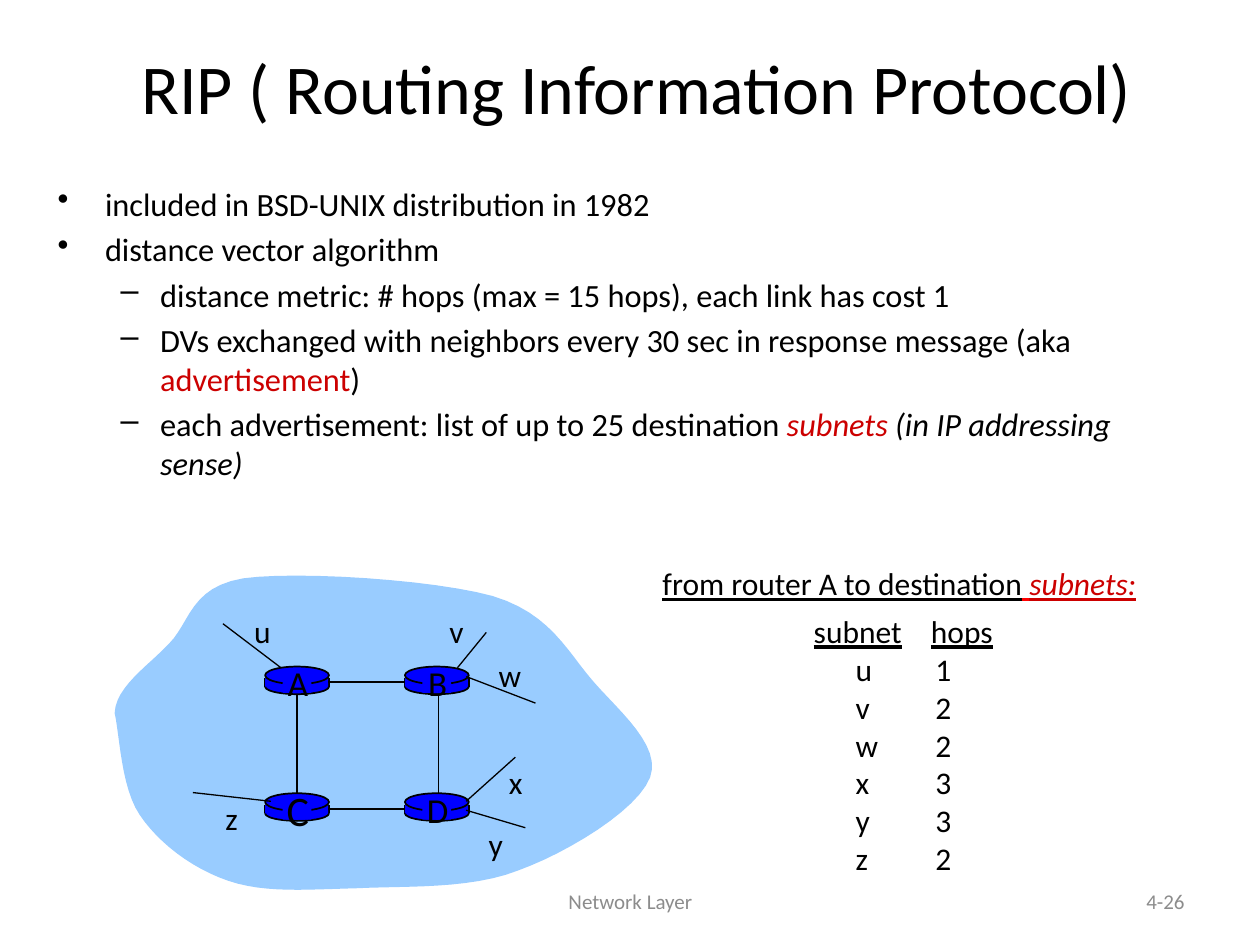
from typing import NamedTuple
from lxml.etree import SubElement
from pptx import Presentation
from pptx.dml.color import RGBColor
from pptx.enum.shapes import MSO_CONNECTOR as Link, MSO_SHAPE as Preset
from pptx.enum.text import MSO_ANCHOR as Anchor, PP_ALIGN as Align
from pptx.oxml.ns import qn
from pptx.util import Pt

COLORS = {"ink": "000000", "accent": "CC0000", "red": "FF0000", "muted": "8C8C8C",
          "cloud": "99CCFF", "router": "0000FF"}
FONT = "Calibri"


class Run(NamedTuple):
    text: str
    color: str = "ink"
    italic: bool = False
    underline: bool = False


class Bullet(NamedTuple):
    level: int
    runs: list[Run]


class Router(NamedTuple):
    name: str
    left: float
    top: float
    size: int = 20


class Subnet(NamedTuple):
    name: str
    hops: int
    label: tuple[float, float]
    start: tuple[float, float]
    end: tuple[float, float]


class Indent(NamedTuple):
    symbol: str
    margin: float
    hanging: float


INDENTS = [Indent("•", 27, 27), Indent("–", 58.5, 22.5)]

BULLETS = [
    Bullet(0, [Run("included in BSD-UNIX distribution in 1982")]),
    Bullet(0, [Run("distance vector algorithm")]),
    Bullet(1, [Run("distance metric: # hops (max = 15 hops), each link has cost 1")]),
    Bullet(1, [Run("DVs exchanged with neighbors every 30 sec in response message (aka "),
               Run("advertisement", "accent"), Run(")")]),
    Bullet(1, [Run("each advertisement: list of up to 25 destination "),
               Run("subnets ", "accent", True), Run("(in IP addressing sense)", "ink", True)]),
]

COLUMNS, ROWS = (151.5, 231.4), (380.9, 453.3)
ROUTERS = [Router("A", COLUMNS[0], ROWS[0]), Router("B", COLUMNS[1], ROWS[0]),
           Router("C", COLUMNS[0], ROWS[1], 24), Router("D", COLUMNS[1], ROWS[1])]
ROUTER_WIDTH = 36.5

SUBNETS = [
    Subnet("u", 1, (138.2, 346.3), (160.6, 381.6), (127.4, 356.4)),
    Subnet("v", 2, (249.8, 346.3), (261.4, 381.6), (277.9, 361.4)),
    Subnet("w", 2, (277.9, 371.5), (266.4, 386.6), (306, 401.8)),
    Subnet("x", 3, (283.7, 432.7), (266.4, 457.9), (294.5, 432.7)),
    Subnet("y", 3, (272.2, 468), (266.4, 463), (300.2, 473)),
    Subnet("z", 2, (121.7, 452.9), (154.8, 457.9), (110.2, 452.9)),
]

CLOUD_START = (65.5, 407.5)
CLOUD_CURVES = [
    ((66.2, 392.4), (84.2, 380.9), (96.5, 367.9)),
    ((108.7, 355.7), (108.7, 335.5), (139, 330.5)),
    ((169.9, 326.2), (247.7, 331.2), (281.5, 340.6)),
    ((314.6, 350.6), (324, 372.2), (339.1, 389.5)),
    ((354.2, 406.8), (378, 426.2), (371.5, 444.2)),
    ((364.3, 463), (324, 487.4), (295.9, 497.5)),
    ((268.6, 508.3), (231.1, 506.2), (203.8, 507.6)),
    ((175.7, 508.3), (151.2, 510.5), (130.3, 503.3)),
    ((109.4, 496.1), (90.7, 481.7), (79.9, 465.8)),
    ((69.1, 450), (68.4, 419.8), CLOUD_START),
]


def rgb(name: str) -> RGBColor:
    return RGBColor.from_string(COLORS[name])


def add_runs(paragraph, runs: list[Run], size: float) -> None:
    for part in runs:
        run = paragraph.add_run()
        run.text = part.text
        formats = {"name": FONT, "size": Pt(size), "italic": part.italic,
                   "underline": part.underline}
        for key, value in formats.items():
            setattr(run.font, key, value)
        run.font.color.rgb = rgb(part.color)


def add_text(shapes, box, runs: list[Run], size: float, align=Align.LEFT,
             anchor=Anchor.TOP, wrap: bool = False):
    frame = shapes.add_textbox(*map(Pt, box)).text_frame
    for key, value in {"word_wrap": wrap, "vertical_anchor": anchor}.items():
        setattr(frame, key, value)
    frame.paragraphs[0].alignment = align
    add_runs(frame.paragraphs[0], runs, size)
    return frame


def add_paragraph(frame, index: int):
    return frame.add_paragraph() if index else frame.paragraphs[0]


def add_bullets(shapes, box, bullets: list[Bullet], size: float) -> None:
    frame = add_text(shapes, box, [], size, wrap=True)
    for index, bullet in enumerate(bullets):
        paragraph = add_paragraph(frame, index)
        paragraph.level = bullet.level
        indent = INDENTS[bullet.level]
        properties = paragraph._p.get_or_add_pPr()
        properties.set("marL", str(Pt(indent.margin)))
        properties.set("indent", str(-Pt(indent.hanging)))
        SubElement(properties, qn("a:buChar"), char=indent.symbol)
        if index:
            paragraph.space_before = Pt(3.7)
        add_runs(paragraph, bullet.runs, size)


def add_tabbed(paragraph, stops, runs: list[Run], size: float) -> None:
    tabs = SubElement(paragraph._p.get_or_add_pPr(), qn("a:tabLst"))
    for stop in stops:
        SubElement(tabs, qn("a:tab"), pos=str(Pt(stop)), algn="l")
    add_runs(paragraph, runs, size)


def add_line(shapes, start, end, width: float):
    line = shapes.add_connector(Link.STRAIGHT, *map(Pt, (*start, *end)))
    line.line.color.rgb = rgb("ink")
    line.line.width = Pt(width)
    SubElement(line._element.spPr, qn("a:effectLst"))
    return line


def paint(shape, fill: str, outlined: bool = False):
    shape.shadow.inherit = False
    shape.fill.solid()
    shape.fill.fore_color.rgb = rgb(fill)
    if outlined:
        shape.line.color.rgb = rgb("ink")
        shape.line.width = Pt(1)
    else:
        shape.line.fill.background()
    return shape


def add_cloud(shapes, steps: int = 12) -> None:
    points, start = [], CLOUD_START
    for first, second, end in CLOUD_CURVES:
        for step in range(1, steps + 1):
            t = step / steps
            points.append(tuple(
                Pt((1 - t) ** 3 * a + 3 * (1 - t) ** 2 * t * b + 3 * (1 - t) * t ** 2 * c + t ** 3 * d)
                for a, b, c, d in zip(start, first, second, end)))
        start = end
    builder = shapes.build_freeform(*map(Pt, CLOUD_START))
    builder.add_line_segments(points, close=True)
    paint(builder.convert_to_shape(), "cloud")


def add_router(shapes, router: Router):
    def part(preset, dy: float, width: float, height: float, outlined: bool):
        box = map(Pt, (router.left, router.top + dy, width, height))
        return paint(shapes.add_shape(preset, *box), "router", outlined)

    part(Preset.OVAL, 7.2, ROUTER_WIDTH, 8.6, True)
    for x in (router.left, router.left + ROUTER_WIDTH):
        add_line(shapes, (x, router.top + 6.5), (x, router.top + 11.5), 1)
    body = part(Preset.RECTANGLE, 6.5, 36, 5, False)
    part(Preset.OVAL, 0, ROUTER_WIDTH, 10, True)
    return body


def add_router_label(shapes, router: Router) -> None:
    patch = map(Pt, (router.left + 10, router.top + 1.4, 16.5, 13.7))
    paint(shapes.add_shape(Preset.RECTANGLE, *patch), "router")
    height = router.size * 1.2 + 7.2
    add_text(shapes, (router.left + 4.5, router.top + 9.4 - height / 2, 28.5, height),
             [Run(router.name)], router.size, Align.CENTER)


def add_network(shapes) -> None:
    add_cloud(shapes)
    bodies = {router.name: add_router(shapes, router) for router in ROUTERS}
    for x in (169.9, 250.6):
        add_line(shapes, (x, 397.4), (x, 453.3), 1)
    for left, right in ("AB", "CD"):
        trunk = add_line(shapes, (0, 0), (1, 1), 1)
        trunk.begin_connect(bodies[left], 3)
        trunk.end_connect(bodies[right], 1)
    for router in ROUTERS:
        add_router_label(shapes, router)
    for subnet in SUBNETS:
        add_line(shapes, subnet.start, subnet.end, 0.75)
        add_text(shapes, (*subnet.label, 25, 29), [Run(subnet.name)], 18)


def add_hop_list(shapes) -> None:
    add_text(shapes, (371.5, 319, 304.6, 29),
             [Run("from router A to destination", underline=True), Run(" ", "red", False, True),
              Run("subnets:", "accent", True, True)], 18)
    frame = add_text(shapes, (457.9, 346.3, 127.4, 162), [], 18)
    add_tabbed(frame.paragraphs[0], [67],
               [Run("subnet", underline=True), Run("\t"), Run("hops", underline=True)], 18)
    for subnet in SUBNETS:
        add_tabbed(frame.add_paragraph(), [24, 69.5], [Run(f"\t{subnet.name}\t{subnet.hops}")], 18)


def main() -> None:
    deck = Presentation()
    deck.slide_width, deck.slide_height = Pt(720), Pt(540)
    slide = deck.slides.add_slide(deck.slide_layouts[5])
    shapes = slide.shapes
    title = shapes.title
    for key, value in {"left": 41.8, "top": 12.2, "width": 643.7, "height": 74.2}.items():
        setattr(title, key, Pt(value))
    title.text_frame.vertical_anchor = Anchor.MIDDLE
    title.text_frame.paragraphs[0].alignment = Align.CENTER
    add_runs(title.text_frame.paragraphs[0], [Run("RIP ( Routing Information Protocol)")], 40)
    add_bullets(shapes, (25.9, 101.5, 658.8, 133.2), BULLETS, 18.5)
    add_network(shapes)
    add_hop_list(shapes)
    for text, left, width, align in (("Network Layer", 246.2, 228.2, Align.CENTER),
                                     ("4-26", 516.2, 167.8, Align.RIGHT)):
        add_text(shapes, (left, 500.4, width, 28.8), [Run(text, "muted")], 12, align,
                 Anchor.MIDDLE, True)
    deck.save("out.pptx")


if __name__ == "__main__":
    main()
